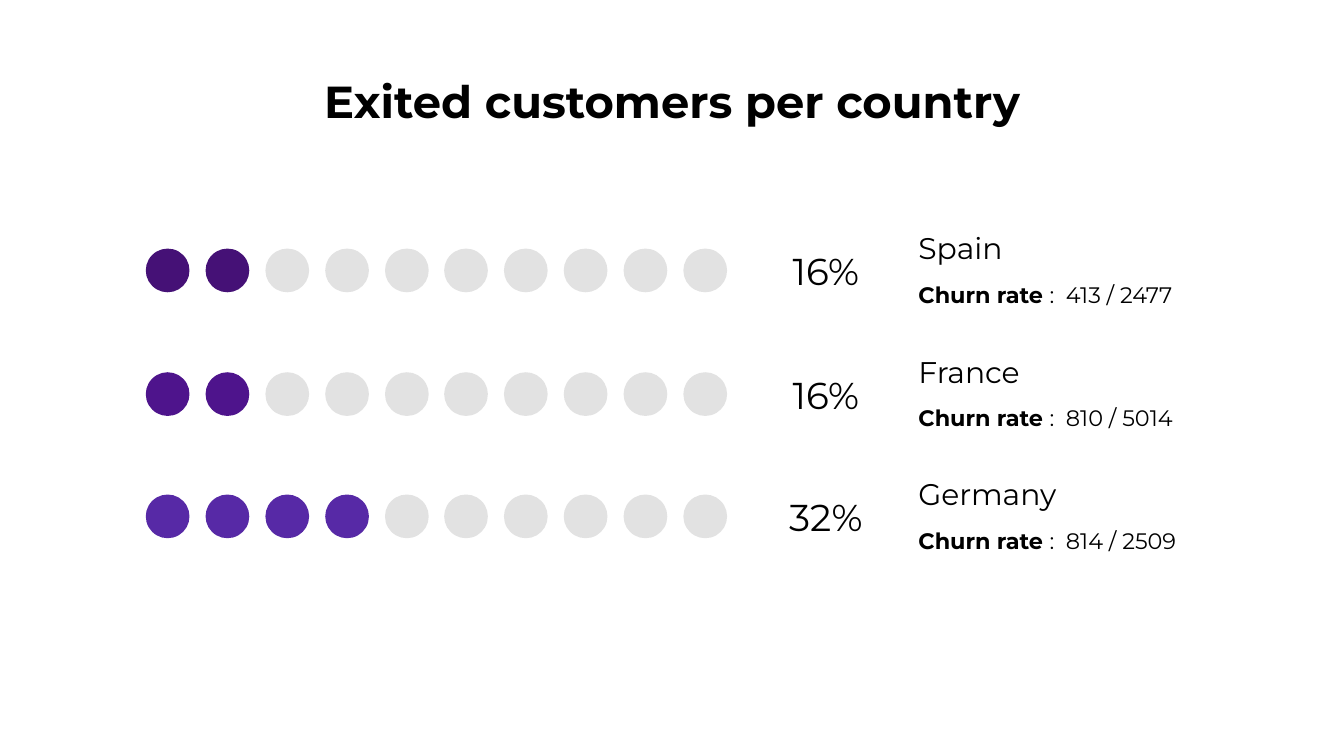
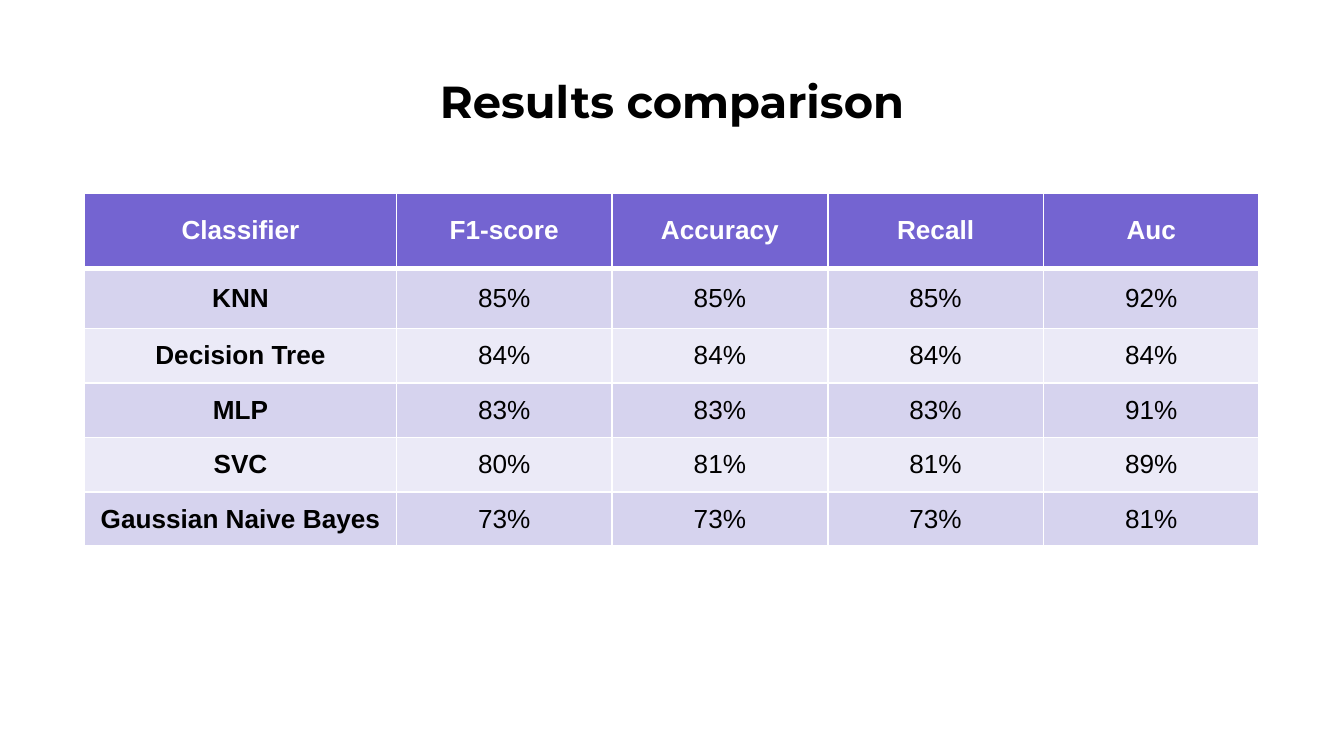
"""Build two slides: exited customers per country and a classifier comparison."""
from lxml import etree
from pptx import Presentation
from pptx import util as u
from pptx.dml.color import RGBColor
from pptx.enum import shapes, text
from pptx.oxml.ns import qn

PX = 4572
BLACK, WHITE, GREY = "000000", "FFFFFF", "E2E2E2"
HEAD, BANDS = "7464D1", ("D6D3EE", "EBEAF7")
LEFT, CENTER = text.PP_ALIGN.LEFT, text.PP_ALIGN.CENTER
TOP, MIDDLE, BOTTOM = text.MSO_ANCHOR.TOP, text.MSO_ANCHOR.MIDDLE, text.MSO_ANCHOR.BOTTOM


def rgb(value):
    return RGBColor.from_string(value)


def add_text(s, box, words, size, align=LEFT, anchor=TOP, bold=False):
    tf = s.shapes.add_textbox(*(v * PX for v in box)).text_frame
    tf.word_wrap, tf.vertical_anchor = True, anchor
    tf.margin_left = tf.margin_right = tf.margin_top = tf.margin_bottom = 20 * PX
    p = tf.paragraphs[0]
    p.alignment = align
    p.font.size, p.font.name, p.font.bold = u.Pt(size), "Montserrat", bold
    p.font.color.rgb = rgb(BLACK)
    p.add_run().text = words
    return p


prs = Presentation()
prs.slide_width, prs.slide_height = 2000 * PX, 1125 * PX
slides = []
for title in ("Exited customers per country", "Results comparison"):
    s = prs.slides.add_slide(prs.slide_layouts[6])
    add_text(s, (99, 90, 1802, 122), title, 24, CENTER, bold=True)
    slides.append(s)

s = slides[0]
countries = [
    (370, "451176", 2, "16%", "Spain", "413 / 2477"),
    (554, "4E148C", 2, "16%", "France", "810 / 5014"),
    (736, "5729A6", 4, "32%", "Germany", "814 / 2509"),
]
for y, color, filled, share, country, rate in countries:
    for i in range(10):
        x = 217 + round(i * 800 / 9)
        sp = s.shapes.add_shape(shapes.MSO_SHAPE.OVAL, x * PX, y * PX, 65 * PX, 65 * PX)
        sp.shadow.inherit = False
        sp.fill.solid()
        sp.fill.fore_color.rgb = rgb(color if i < filled else GREY)
        sp.line.fill.background()
    add_text(s, (1144, y - 12, 170, 90), share, 20, CENTER, MIDDLE)
    p = add_text(s, (1347, y + 28, 436, 82), "Churn rate ", 12)
    p.runs[0].font.bold = True
    p.add_run().text = f":  {rate}"
    add_text(s, (1347, y - 37, 436, 82), country, 16, anchor=BOTTOM)

s = slides[1]
results = [
    ("Classifier", "F1-score", "Accuracy", "Recall", "Auc"),
    ("KNN", "85%", "85%", "85%", "92%"),
    ("Decision Tree", "84%", "84%", "84%", "84%"),
    ("MLP", "83%", "83%", "83%", "91%"),
    ("SVC", "80%", "81%", "81%", "89%"),
    ("Gaussian Naive Bayes", "73%", "73%", "73%", "81%"),
]
widths = [464] + [321] * 4
heights = [111, 90] + [81] * 4
table = s.shapes.add_table(6, 5, 126 * PX, 288 * PX, sum(widths) * PX, sum(heights) * PX).table
table.horz_banding = False
for column, width in zip(table.columns, widths):
    column.width = width * PX
for row, height in zip(table.rows, heights):
    row.height = height * PX

for i, row in enumerate(results):
    for j, words in enumerate(row):
        cell = table.cell(i, j)
        cell.vertical_anchor = MIDDLE
        cell.fill.solid()
        cell.fill.fore_color.rgb = rgb(BANDS[(i - 1) % 2] if i else HEAD)
        p = cell.text_frame.paragraphs[0]
        p.alignment = CENTER
        p.font.size, p.font.name, p.font.bold = u.Pt(14), "Arial", i == 0 or j == 0
        p.font.color.rgb = rgb(BLACK if i else WHITE)
        p.add_run().text = words
        tc_pr = cell._tc.get_or_add_tcPr()
        for k, side in enumerate(("lnL", "lnR", "lnT", "lnB")):
            thick = (i, side) in ((0, "lnB"), (1, "lnT"))
            ln = etree.Element(qn(f"a:{side}"), w=str(u.Pt(3 if thick else 1)))
            fill = etree.SubElement(ln, qn("a:solidFill"))
            etree.SubElement(fill, qn("a:srgbClr"), val=WHITE)
            tc_pr.insert(k, ln)

prs.save("out.pptx")
